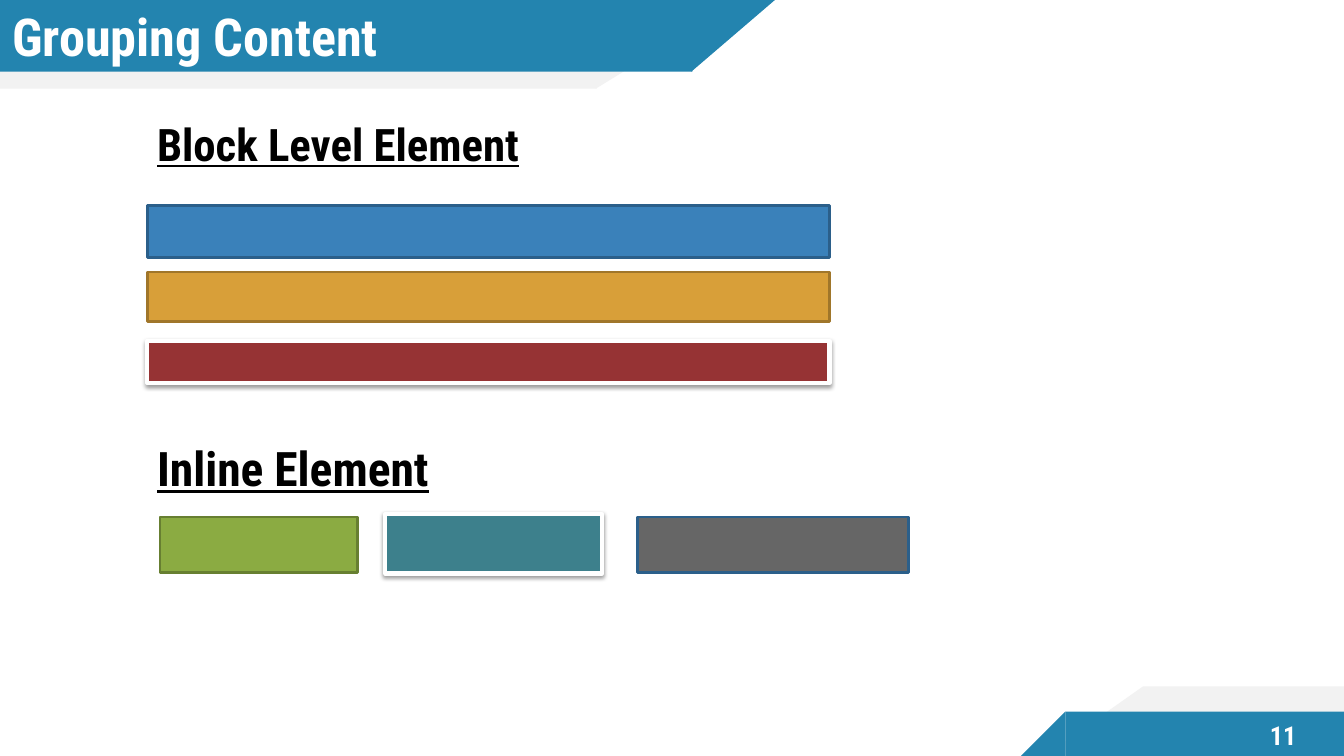
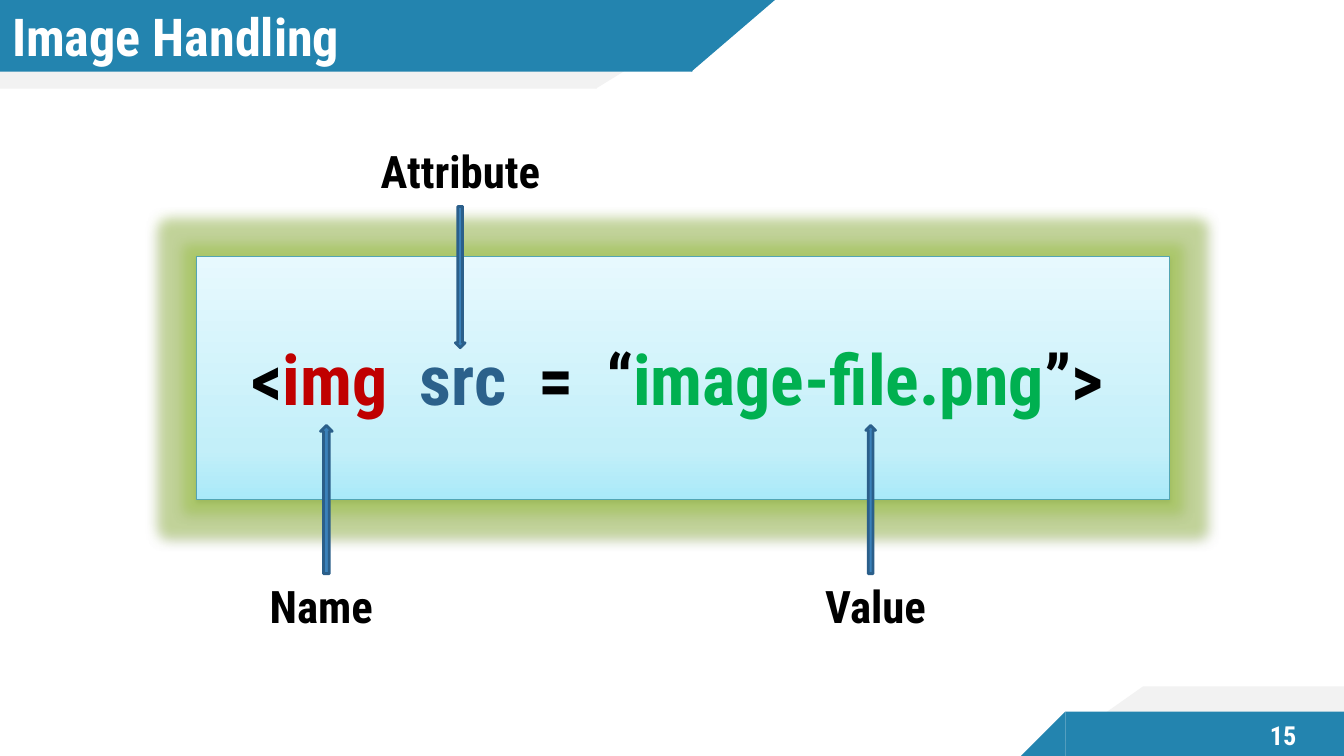
from copy import deepcopy

from lxml.etree import SubElement
from pptx import Presentation
from pptx.dml.color import RGBColor
from pptx.enum.shapes import MSO_SHAPE
from pptx.enum.text import MSO_ANCHOR, PP_ALIGN
from pptx.oxml.ns import qn
from pptx.util import Inches, Pt

W, H = 40 / 3, 7.5
FONT = "Roboto Condensed"
TITLE_SIZE, NUMBER_SIZE, LABEL_SIZE, CODE_SIZE = 37.3, 18.7, 32, 50

WHITE = RGBColor(0xFF, 0xFF, 0xFF)
BLACK = RGBColor(0x00, 0x00, 0x00)
BAND = RGBColor(0x23, 0x84, 0xAF)
PALE = RGBColor(0xF2, 0xF2, 0xF2)
BLUE = RGBColor(0x3A, 0x81, 0xBA)
NAVY = RGBColor(0x2B, 0x5F, 0x8A)
AMBER = RGBColor(0xD8, 0x9F, 0x39)
BROWN = RGBColor(0xA0, 0x76, 0x2A)
MAROON = RGBColor(0x96, 0x33, 0x34)
OLIVE = RGBColor(0x8B, 0xAB, 0x42)
MOSS = RGBColor(0x67, 0x7F, 0x31)
TEAL = RGBColor(0x3D, 0x80, 0x8C)
GRAY = RGBColor(0x66, 0x66, 0x66)
RED = RGBColor(0xC0, 0x00, 0x00)
SRC_BLUE = RGBColor(0x2B, 0x61, 0x8B)
GREEN = RGBColor(0x00, 0xB0, 0x50)
PANEL_LINE = RGBColor(0x53, 0xA5, 0xB3)
GLOW = RGBColor(0xA0, 0xCC, 0x3C)
PANEL_STOPS = [
    (0, RGBColor(0xA9, 0xE9, 0xF9)),
    (0.21, RGBColor(0xC3, 0xEF, 0xF9)),
    (1, RGBColor(0xE7, 0xF9, 0xFE)),
]

# Bands shared by all slides: colour, top, height, rectangle's left and
# width, slanted end's left and width, flip of the slanted end
BANDS = [
    (PALE, -0.01, 0.89, (0, 5.92), (5.91, 1.45), "flipV"),
    (BAND, -0.01, 0.72, (0, 6.87), (6.86, 0.84), "flipV"),
    (PALE, 6.81, 0.69, (11.34, 2), (10.36, 0.98), "flipH"),
    (BAND, 7.06, 0.44, (10.57, 2.77), (10.13, 0.44), "flipH"),
]


def part(box, x, y, w, h):
    """Rectangle inside box, given in percent of the box's size."""
    left, top, width, height = box
    return (left + width * x / 100, top + height * y / 100,
            width * w / 100, height * h / 100)


def emu(box):
    return [Inches(v) for v in box]


def write(tf, runs, size, align=PP_ALIGN.LEFT, **extra):
    """Fill a text frame with one paragraph of (text, colour) runs."""
    tf.word_wrap = True
    p = tf.paragraphs[0]
    p.alignment = align
    fmt = dict(name=FONT, size=Pt(size), bold=True, **extra)
    for text, color in runs:
        r = p.add_run()
        r.text = text
        for key, value in fmt.items():
            setattr(r.font, key, value)
        r.font.color.rgb = color
        if text == " ":  # widen the gaps between the parts of a tag
            r.font._element.set("spc", "1150")


def add_text(s, box, runs, size, **extra):
    tf = s.shapes.add_textbox(*emu(box)).text_frame
    write(tf, runs, size, **extra)
    return tf


def add_effect(parent, tag, color, alpha, **attrs):
    effect = SubElement(parent, qn(tag), {k: str(v) for k, v in attrs.items()})
    clr = SubElement(effect, qn("a:srgbClr"), val=str(color))
    SubElement(clr, qn("a:alpha"), val=str(alpha * 1000))


def add_box(s, kind, box, fill=None, line=None, width=0, raised=False,
            glow=False):
    sp = s.shapes.add_shape(kind, *emu(box))
    sp.shadow.inherit = False
    if fill is not None:
        sp.fill.solid()
        sp.fill.fore_color.rgb = fill
    if line is None:
        sp.line.fill.background()
    else:
        sp.line.color.rgb = line
        sp.line.width = Pt(width)
    effects = sp.element.spPr.find(qn("a:effectLst"))
    if glow:
        add_effect(effects, "a:glow", GLOW, 40, rad=Inches(0.25))
    if raised:
        add_effect(effects, "a:outerShdw", BLACK, 38, blurRad=Pt(3.1),
                   dist=Pt(1.6), dir=5400000, rotWithShape=0)
    return sp


def add_bands(s, layout):
    """Draw the bands and place them behind everything on the layout."""
    tree = layout.element.cSld.spTree
    shapes = []
    for color, top, height, (x, w), (end_x, end_w), flip in BANDS:
        bar = add_box(s, MSO_SHAPE.RECTANGLE, (x, top, w, height), color)
        end = add_box(s, MSO_SHAPE.RIGHT_TRIANGLE,
                      (end_x, top, end_w, height), color)
        end.element.spPr.xfrm.set(flip, "1")
        shapes += [bar, end]
    for i, sp in enumerate(shapes):
        tree.insert(2 + i, sp.element)


def add_slide(prs, layout, title, number):
    s = prs.slides.add_slide(layout)
    # Title
    sp = s.shapes.title
    sp.left, sp.top, sp.width, sp.height = emu((0, 0.04, 7.36, 0.63))
    tf = sp.text_frame
    tf.margin_left = Inches(0.12)
    tf.margin_right = tf.margin_top = tf.margin_bottom = 0
    tf.vertical_anchor = MSO_ANCHOR.MIDDLE
    write(tf, [(title, WHITE)], TITLE_SIZE)
    # Slide number
    tf = add_text(s, (12.29, 7.07, 0.88, 0.45), [(number, WHITE)],
                  NUMBER_SIZE, align=PP_ALIGN.CENTER)
    tf.vertical_anchor = MSO_ANCHOR.MIDDLE
    return s


def element_group(s, box, heading, size, heading_area, bars):
    """Underlined heading above coloured bars."""
    add_text(s, part(box, *heading_area), [(heading, BLACK)], size,
             underline=True)
    for area, fill, line in bars:
        raised = line == WHITE
        add_box(s, MSO_SHAPE.RECTANGLE, part(box, *area), fill, line,
                3 if raised else 2, raised)


def tag_diagram(s, box):
    """Panel with a tag, whose parts are named by labels and arrows."""
    # Panel
    sp = add_box(s, MSO_SHAPE.RECTANGLE, part(box, 0, 23.6, 100, 48.7),
                 None, PANEL_LINE, 0.75, raised=True, glow=True)
    sp.fill.gradient()
    sp.fill.gradient_angle = 90
    stops = sp.element.spPr.find(".//" + qn("a:gsLst"))
    stops.insert(1, deepcopy(stops[0]))
    for stop, (position, color) in zip(sp.fill.gradient_stops, PANEL_STOPS):
        stop.position = position
        stop.color.rgb = color

    # Tag
    gap = (" ", BLACK)
    tag = [("<", BLACK), ("img", RED), gap, ("src", SRC_BLUE), gap,
           ("=", BLACK), gap, ("“", BLACK), ("image-file.png", GREEN),
           ("”>", BLACK)]
    add_text(s, part(box, 4.6, 38.4, 92, 19), tag, CODE_SIZE)

    # Labels and arrows
    up = (MSO_SHAPE.UP_ARROW, 57.4, 29.7)
    down = (MSO_SHAPE.DOWN_ARROW, 13.5, 28.3)
    for text, x, y, (kind, arrow_y, arrow_h), arrow_x, arrow_w in [
        ("Attribute", 17.9, 0, down, 26.6, 1),
        ("Name", 6.5, 87.1, up, 12.75, 1.2),
        ("Value", 63.6, 87.1, up, 68.8, 1),
    ]:
        add_box(s, kind, part(box, arrow_x, arrow_y, arrow_w, arrow_h),
                BLUE, NAVY, 2)
        add_text(s, part(box, x, y, 23.2, 12.9), [(text, BLACK)], LABEL_SIZE)


def main():
    prs = Presentation()
    prs.slide_width, prs.slide_height = Inches(W), Inches(H)
    layout = prs.slide_layouts[5]

    # Grouping content
    s = add_slide(prs, layout, "Grouping Content", "11")
    add_bands(s, layout)
    element_group(
        s, (1.46, 1.11, 6.77, 2.69), "Block Level Element", LABEL_SIZE,
        (0, 0, 69.4, 23.8),
        [((0, 34.6, 100, 19), BLUE, NAVY),
         ((0, 59.1, 100, 18.2), AMBER, BROWN),
         ((0, 84.4, 100, 15.6), MAROON, WHITE)])
    element_group(
        s, (1.46, 4.31, 7.55, 1.38), "Inline Element", 34,
        (0, 0, 62.3, 48.6),
        [((1.7, 59.4, 26, 39.9), OLIVE, MOSS),
         ((31.3, 57.2, 28.5, 42.8), TEAL, WHITE),
         ((64.4, 59.4, 35.6, 39.9), GRAY, NAVY)])

    # Image handling
    s = add_slide(prs, layout, "Image Handling", "15")
    tag_diagram(s, (1.95, 1.38, 9.65, 4.95))

    prs.save("out.pptx")


if __name__ == "__main__":
    main()
